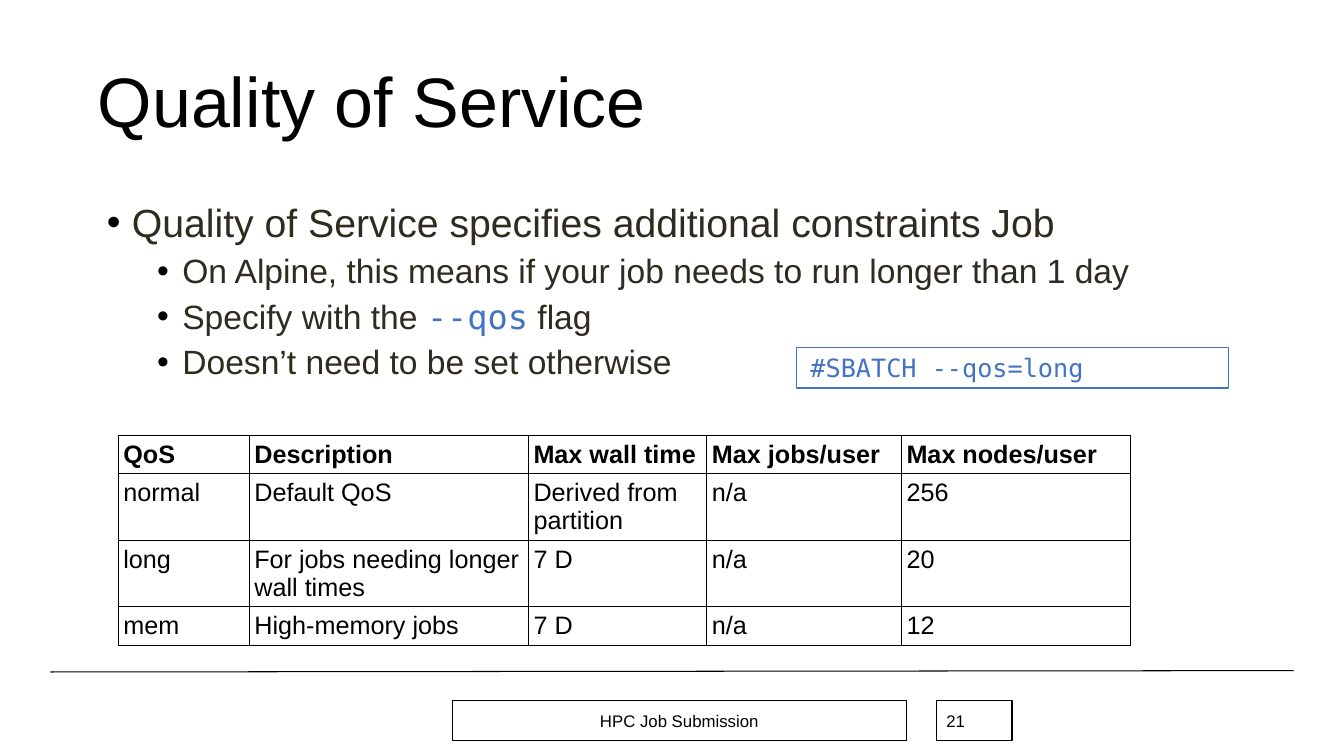
from lxml import etree
from pptx import Presentation
from pptx.dml.color import RGBColor
from pptx.enum import shapes, text
from pptx.oxml import ns
from pptx.util import Pt

COLORS = {"black": "000000", "body": "2F2B20", "blue": "4472C4"}
SANS, MONO = "Arial", "DejaVu Sans Mono"

TITLE = "Quality of Service"
# (level, [(words, is code), ...])
BULLETS = [
    (0, [("Quality of Service specifies additional constraints Job", False)]),
    (1, [("On Alpine, this means if your job needs to run longer than 1 day", False)]),
    (1, [("Specify with the ", False), ("--qos", True), (" flag", False)]),
    (1, [("Doesn’t need to be set otherwise", False)]),
]
QOS_ROWS = [
    ("QoS", "Description", "Max wall time", "Max jobs/user", "Max nodes/user"),
    ("normal", "Default QoS", "Derived from partition", "n/a", "256"),
    ("long", "For jobs needing longer wall times", "7 D", "n/a", "20"),
    ("mem", "High-memory jobs", "7 D", "n/a", "12"),
]
COLUMN_WIDTHS = [93.6, 199.4, 127.5, 139, 163.5]
ROW_HEIGHTS = [27, 47, 47, 27]
COMMAND = "#SBATCH --qos=long"
FOOTER, PAGE_NUMBER = "HPC Job Submission", "21"


def color(name):
    return RGBColor.from_string(COLORS[name])


def add_span(para, words, size, fill="black", font=SANS, bold=False):
    span = para.add_run()
    span.text = words
    span.font.size, span.font.name, span.font.bold = Pt(size), font, bold
    span.font.color.rgb = color(fill)


def set_frame(frame, anchor=text.MSO_ANCHOR.TOP):
    """Use wrapped text of fixed size with the slide's common insets."""
    frame.word_wrap = True
    frame.auto_size = text.MSO_AUTO_SIZE.NONE
    frame.vertical_anchor = anchor
    frame.margin_left = frame.margin_right = Pt(7.2)
    frame.margin_top = frame.margin_bottom = Pt(3.6)


def add_framed_text(page, words, left, top, width, height, line="black", align=text.PP_ALIGN.LEFT,
                    anchor=text.MSO_ANCHOR.MIDDLE, indent=0, **style):
    box = page.shapes.add_shape(shapes.MSO_SHAPE.RECTANGLE, Pt(left), Pt(top), Pt(width), Pt(height))
    box.shadow.inherit = False
    box.fill.background()
    box.line.color.rgb = color(line)
    box.line.width = Pt(0.75)
    set_frame(box.text_frame, anchor)
    para = box.text_frame.paragraphs[0]
    para.alignment = align
    para._p.get_or_add_pPr().set("marL", str(Pt(indent)))
    add_span(para, words, **style)


def add_bullet(para, left, hang):
    props = para._p.get_or_add_pPr()
    props.set("marL", str(Pt(left)))
    props.set("indent", str(Pt(-hang)))
    bullet_color = etree.SubElement(props, ns.qn("a:buClr"))
    etree.SubElement(bullet_color, ns.qn("a:srgbClr"), val=COLORS["black"])
    etree.SubElement(props, ns.qn("a:buFont"), typeface=SANS)
    etree.SubElement(props, ns.qn("a:buChar"), char="•")


def add_cell_borders(cell):
    props = cell._tc.get_or_add_tcPr()
    for place, side in enumerate(("lnL", "lnR", "lnT", "lnB")):
        border = etree.Element(ns.qn("a:" + side), w=str(Pt(0.75)))
        fill = etree.SubElement(border, ns.qn("a:solidFill"))
        etree.SubElement(fill, ns.qn("a:srgbClr"), val=COLORS["black"])
        props.insert(place, border)


def add_title(page):
    title = page.shapes.title
    title.left, title.top, title.width, title.height = Pt(62.6), Pt(23), Pt(828), Pt(104.4)
    set_frame(title.text_frame, text.MSO_ANCHOR.MIDDLE)
    para = title.text_frame.paragraphs[0]
    para.alignment = text.PP_ALIGN.LEFT
    para.line_spacing = 0.9
    add_span(para, TITLE, 50)


def add_bullets(page):
    box = page.shapes.add_textbox(Pt(66.2), Pt(141.8), Pt(851.8), Pt(327.6))
    frame = box.text_frame
    set_frame(frame)
    for number, (level, spans) in enumerate(BULLETS):
        para = frame.add_paragraph() if number else frame.paragraphs[0]
        para.level = level
        add_bullet(para, 21 + 36 * level, 18)
        para.line_spacing = 0.9
        if number:
            para.space_before = Pt(6.5)
        for words, is_code in spans:
            add_span(para, words, 24 if level else 28, "blue" if is_code else "body",
                     MONO if is_code else SANS)


def add_qos_table(page):
    table = page.shapes.add_table(len(QOS_ROWS), len(COLUMN_WIDTHS), Pt(84.5), Pt(311),
                                  Pt(sum(COLUMN_WIDTHS)), Pt(sum(ROW_HEIGHTS))).table
    table.horz_banding = False
    for column, width in zip(table.columns, COLUMN_WIDTHS):
        column.width = Pt(width)
    for row_number, (row, height) in enumerate(zip(table.rows, ROW_HEIGHTS)):
        row.height = Pt(height)
        for cell, words in zip(row.cells, QOS_ROWS[row_number]):
            cell.margin_left = cell.margin_right = cell.margin_top = cell.margin_bottom = Pt(3.6)
            cell.fill.background()
            add_cell_borders(cell)
            add_span(cell.text_frame.paragraphs[0], words, 18, bold=row_number == 0)


def add_footer(page):
    rule = page.shapes.add_connector(shapes.MSO_CONNECTOR.STRAIGHT, Pt(36), Pt(480), Pt(924), Pt(479))
    rule.line.color.rgb = color("black")
    rule.line.width = Pt(0.75)
    etree.SubElement(rule._element.spPr, ns.qn("a:effectLst"))
    add_framed_text(page, FOOTER, 323.3, 500.4, 324, 28.8, align=text.PP_ALIGN.CENTER, size=12)
    add_framed_text(page, PAGE_NUMBER, 668.9, 500.4, 54, 28.8, size=12)


def main():
    deck = Presentation()
    deck.slide_width, deck.slide_height = Pt(960), Pt(540)
    page = deck.slides.add_slide(deck.slide_layouts[5])
    add_title(page)
    add_qos_table(page)
    add_footer(page)
    add_bullets(page)
    add_framed_text(page, COMMAND, 568.8, 248.4, 308.9, 28.8, line="blue", anchor=text.MSO_ANCHOR.TOP,
                    indent=3, size=18, fill="blue", font=MONO)
    deck.save("out.pptx")


if __name__ == "__main__":
    main()
